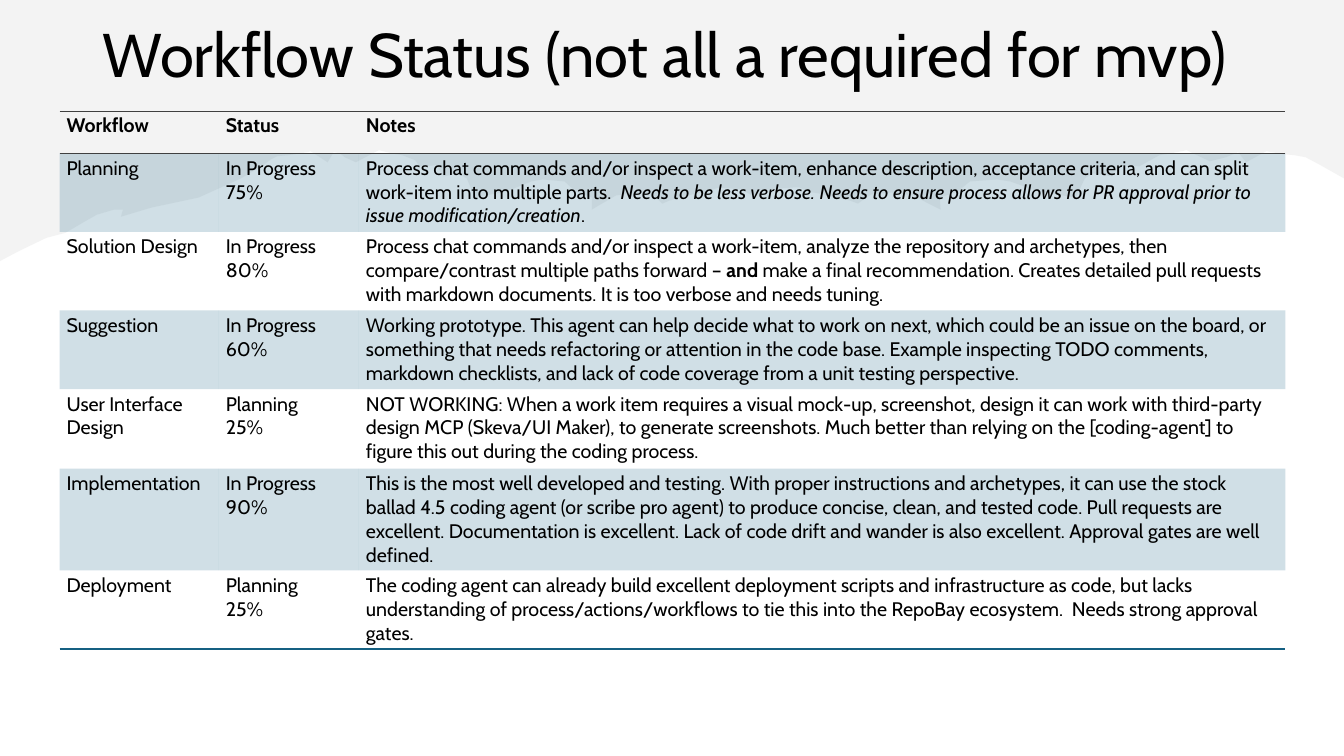
import pptx
import pptx.util
import pptx.dml.color
import pptx.enum.text
import pptx.oxml.ns
import lxml.etree

PX = 9144  # EMU per px, 100 px to the inch
FONT = "Cabin"
BLACK, TEAL, GREY, RULE = "000000", "156082", "E8E8E8", "404040"
NO_GRID = "{2D5ABB26-0587-4C30-8999-92F81FD0307C}"

COLS = [158, 139, 919]
ROWS = [42, 78, 78, 78, 79, 101, 78]

# Each note is a list of (text, style) runs
HEADER = ["Workflow", "Status", "Notes"]
WORKFLOWS = [
    ("Planning", "In Progress", "75%", [
        ("Process chat commands and/or inspect a work-item, enhance description, acceptance "
         "criteria, and can split work-item into multiple parts.  ", ""),
        ("Needs to be less verbose. Needs to ensure process allows for PR approval prior to "
         "issue modification/creation", "i"),
        (".", "")]),
    ("Solution Design", "In Progress", "80%", [
        ("Process chat commands and/or inspect a work-item, analyze the repository and "
         "archetypes, then compare/contrast multiple paths forward – ", ""),
        ("and", "b"),
        (" make a final recommendation. Creates detailed pull requests with markdown "
         "documents. It is too verbose and needs tuning.", "")]),
    ("Suggestion", "In Progress", "60%", [
        ("Working prototype. This agent can help decide what to work on next, which could be "
         "an issue on the board, or something that needs refactoring or attention in the code "
         "base. Example inspecting TODO comments, markdown checklists, and lack of code "
         "coverage from a unit testing perspective.", "")]),
    ("User Interface Design", "Planning", "25%", [
        ("NOT WORKING: When a work item requires a visual mock-up, screenshot, design it can "
         "work with third-party design MCP (Skeva/UI Maker), to generate screenshots. Much "
         "better than relying on the [coding-agent] to figure this out during the coding "
         "process.", "")]),
    ("Implementation", "In Progress", "90%", [
        ("This is the most well developed and testing. With proper instructions and "
         "archetypes, it can use the stock ballad 4.5 coding agent (or scribe pro agent) to "
         "produce concise, clean, and tested code. Pull requests are excellent. Documentation "
         "is excellent. Lack of code drift and wander is also excellent. Approval gates are "
         "well defined.", "")]),
    ("Deployment", "Planning", "25%", [
        ("The coding agent can already build excellent deployment scripts and infrastructure "
         "as code, but lacks understanding of process/actions/workflows to tie this into the "
         "RepoBay ecosystem.  Needs strong approval gates.", "")]),
]

# Ragged lower edge of the backdrop, left to right
TORN_EDGE = [
    (0, 259), (19, 249), (46, 236), (65, 231), (82, 221), (96, 213), (113, 208), (122, 208),
    (120, 215), (150, 206), (197, 196), (239, 177), (261, 164), (269, 158), (275, 155),
    (286, 154), (305, 151), (308, 150), (325, 161), (331, 151), (337, 152), (342, 156),
    (353, 161), (370, 152), (376, 149), (388, 152), (399, 154), (412, 159), (416, 165),
    (433, 164), (440, 175), (455, 172), (463, 177), (471, 196), (502, 190), (527, 180),
    (538, 178), (560, 180), (571, 190), (577, 192), (587, 196), (587, 208), (597, 202),
    (611, 194), (629, 191), (648, 193), (657, 202), (664, 199), (686, 193), (701, 190),
    (713, 186), (736, 188), (744, 193), (747, 194), (754, 189), (760, 188), (787, 186),
    (793, 186), (801, 190), (818, 193), (843, 199), (851, 202), (855, 199), (864, 193),
    (884, 191), (906, 194), (921, 202), (933, 208), (932, 196), (944, 192), (950, 190),
    (962, 180), (989, 178), (1002, 180), (1030, 190), (1067, 196), (1076, 177), (1084, 172),
    (1103, 175), (1110, 164), (1130, 165), (1150, 154), (1162, 152), (1177, 149),
    (1183, 152), (1200, 160), (1216, 156), (1228, 151), (1236, 161), (1256, 150),
    (1273, 153), (1284, 154), (1295, 156), (1310, 164), (1333, 177)]


def emu(*lengths):
    return [n * PX for n in lengths]


def rgb(value):
    return pptx.dml.color.RGBColor.from_string(value)


def tint(fill, color, percent):
    """Solid fill with the given opacity."""
    fill.solid()
    fill.fore_color.rgb = rgb(color)
    node = fill._xPr.find(".//" + pptx.oxml.ns.qn("a:srgbClr"))
    lxml.etree.SubElement(node, pptx.oxml.ns.qn("a:alpha"), val=str(percent * 1000))


def add_run(p, text, size, style=""):
    r = p.add_run()
    r.text = text
    r.font.name = FONT
    r.font.size = pptx.util.Pt(size)
    r.font.color.rgb = rgb(BLACK)
    r.font.bold = "b" in style
    r.font.italic = "i" in style


def add_border(cell, side, color, width):
    ns = pptx.oxml.ns.nsdecls("a")
    line = pptx.oxml.parse_xml(
        f'<a:{side} {ns} w="{pptx.util.Pt(width)}"><a:solidFill>'
        f'<a:srgbClr val="{color}"/></a:solidFill></a:{side}>')
    tcPr = cell._tc.get_or_add_tcPr()
    tcPr.insert(len(tcPr.findall(pptx.oxml.ns.qn("a:lnT"))), line)


def fill_cell(cell, paragraphs):
    cell.margin_left, cell.margin_right, cell.margin_top, cell.margin_bottom = emu(7, 7, 3, 3)
    tf = cell.text_frame
    for i, runs in enumerate(paragraphs):
        p = tf.add_paragraph() if i else tf.paragraphs[0]
        for text, style in runs:
            add_run(p, text, 14, style)


def add_backdrop(slide, x, y, w):
    points = [(x + px, y + py) for px, py in TORN_EDGE] + [(x + w, y), (x, y)]
    builder = slide.shapes.build_freeform(*points[0], scale=PX)
    builder.add_line_segments(points[1:], close=True)
    sp = builder.convert_to_shape()
    sp.shadow.inherit = False
    tint(sp.fill, GREY, 50)
    sp.line.fill.background()


def add_title(slide, x, y, w, h):
    tf = slide.shapes.add_textbox(*emu(x, y, w, h)).text_frame
    tf.word_wrap = True
    tf.vertical_anchor = pptx.enum.text.MSO_ANCHOR.MIDDLE
    p = tf.paragraphs[0]
    p.line_spacing = 0.9
    add_run(p, "Workflow Status (not all a required for mvp)", 44)


def add_status_table(slide, x, y):
    frame = slide.shapes.add_table(len(ROWS), len(COLS), *emu(x, y, sum(COLS), sum(ROWS)))
    table = frame.table
    table.first_row = table.horz_banding = False
    table._tbl.tblPr.find(pptx.oxml.ns.qn("a:tableStyleId")).text = NO_GRID
    for col, width in zip(table.columns, COLS):
        col.width = width * PX
    for row, height in zip(table.rows, ROWS):
        row.height = height * PX

    # Text: one list of paragraphs per cell
    content = [[[[(head, "b")]] for head in HEADER]]
    for name, status, done, note in WORKFLOWS:
        content.append([[[(name, "")]], [[(status, "")], [(done, "")]], [note]])

    # Bands on odd rows, rules around the header and below the last row
    for i, cells in enumerate(content):
        for j, paragraphs in enumerate(cells):
            cell = table.cell(i, j)
            fill_cell(cell, paragraphs)
            if i % 2:
                tint(cell.fill, TEAL, 20)
            else:
                cell.fill.background()
            if i == 0:
                add_border(cell, "lnT", RULE, 0.5)
                add_border(cell, "lnB", RULE, 0.5)
            elif i == len(ROWS) - 1:
                add_border(cell, "lnB", TEAL, 1)


def main():
    prs = pptx.Presentation()
    prs.slide_width, prs.slide_height = emu(1333, 750)
    slide = prs.slides.add_slide(prs.slide_layouts[6])
    add_backdrop(slide, 0, 0, 1333)
    add_title(slide, 92, 6, 1150, 102)
    add_status_table(slide, 59, 110)
    prs.save("out.pptx")


if __name__ == "__main__":
    main()
